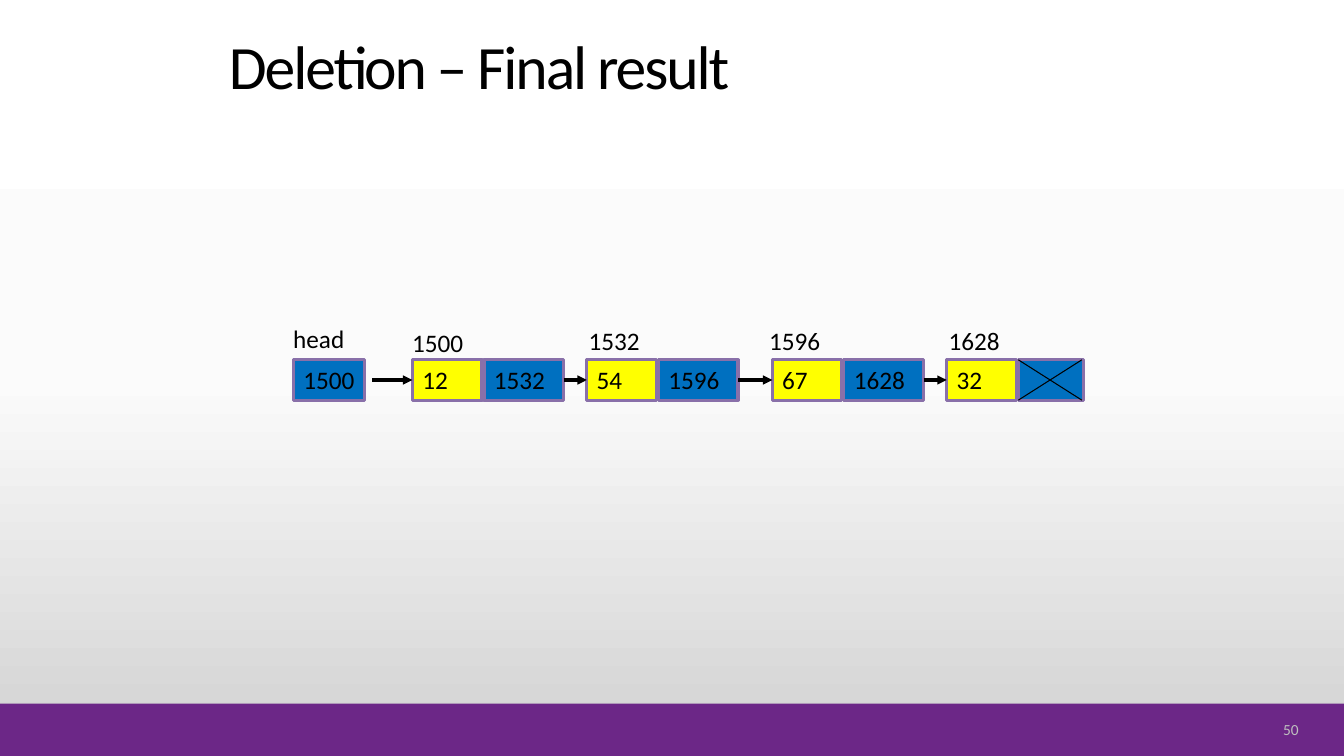
from copy import deepcopy

from pptx import Presentation
from pptx.dml.color import RGBColor
from pptx.enum.shapes import MSO_CONNECTOR as Connector, MSO_SHAPE as Preset
from pptx.enum.text import MSO_ANCHOR as Anchor, PP_ALIGN as Align
from pptx.oxml.ns import qn
from pptx.oxml.xmlchemy import OxmlElement
from pptx.util import Inches, Pt

WIDTH, HEIGHT = 13.33, 7.5
FONT = "Calibri"
BLACK = RGBColor(0x00, 0x00, 0x00)
PURPLE = RGBColor(0x6C, 0x27, 0x87)
OUTLINE = RGBColor(0x89, 0x70, 0xA9)
BLUE = RGBColor(0x00, 0x70, 0xC0)
YELLOW = RGBColor(0xFF, 0xFF, 0x00)
PAGE_GREY = RGBColor(0xBF, 0xBF, 0xBF)
BACKGROUND = [RGBColor(0xFF, 0xFF, 0xFF), RGBColor(0xFB, 0xFB, 0xFB), RGBColor(0xD1, 0xD1, 0xD1)]

# Linked list measures, in inches from the list's box
CELL_TOP, CELL_HEIGHT = 0.41, 0.4
HEAD_WIDTH, DATA_WIDTH, POINTER_OFFSET = 0.71, 0.69, 0.71
# left, value, pointer, pointer width, address, address left, address top
NODES = [
    (1.18, "12", "1532", 0.79, "1500", 1.08, 0.04),
    (2.91, "54", "1596", 0.79, "1532", 2.83, 0.02),
    (4.75, "67", "1628", 0.79, "1596", 4.62, 0.02),
    (6.48, "32", None, 0.65, "1628", 6.40, 0.02),
]


def write(shape, text, size=18, color=BLACK, align=Align.LEFT, anchor=Anchor.TOP):
    frame = shape.text_frame
    frame.word_wrap = True
    frame.vertical_anchor = anchor
    paragraph = frame.paragraphs[0]
    paragraph.alignment = align
    run = paragraph.add_run()
    run.text = text
    run.font.name, run.font.size = FONT, Pt(size)
    run.font.color.rgb = color
    return paragraph, run


def add_label(slide, left, top, text):
    label = slide.shapes.add_textbox(Inches(left), Inches(top), Inches(0.72), Inches(0.4))
    label.text_frame.margin_right = 0
    write(label, text)


def add_cell(slide, left, top, width, fill, text=None):
    cell = slide.shapes.add_shape(
        Preset.RECTANGLE, Inches(left), Inches(top), Inches(width), Inches(CELL_HEIGHT))
    cell.shadow.inherit = False
    cell.fill.solid()
    cell.fill.fore_color.rgb = fill
    cell.line.color.rgb = OUTLINE
    cell.line.width = Pt(2.25)
    if text:
        cell.text_frame.margin_right = 0
        write(cell, text)
    return cell


def add_line(slide, start, end, width, arrow=False):
    line = slide.shapes.add_connector(Connector.STRAIGHT, *map(Inches, start + end))
    line.line.color.rgb = BLACK
    line.line.width = Pt(width)
    properties = line._element.spPr
    if arrow:
        tail = OxmlElement("a:tailEnd")
        tail.set("type", "triangle")
        properties.find(qn("a:ln")).append(tail)
    properties.append(OxmlElement("a:effectLst"))
    return line


def paint_background(slide):
    fill = slide.background.fill
    fill.gradient()
    fill.gradient_angle = 270
    stop_list = slide._element.find(".//" + qn("a:gsLst"))
    stop_list.insert(1, deepcopy(stop_list[0]))
    for stop, position, color in zip(fill.gradient_stops, (0, 0.5, 1), BACKGROUND):
        stop.position = position
        stop.color.rgb = color


def add_title(slide, left, top, width, height):
    title = slide.shapes.title
    title.left, title.top = Inches(left), Inches(top)
    title.width, title.height = Inches(width), Inches(height)
    paragraph, run = write(title, "Deletion – Final result", 44, anchor=Anchor.BOTTOM)
    paragraph.line_spacing = 0.9
    run.font._element.set("spc", "-150")


def add_footer(slide, left, top, width, height):
    bar = slide.shapes.add_shape(
        Preset.RECTANGLE, Inches(left), Inches(top), Inches(width), Inches(height))
    bar.shadow.inherit = False
    bar.fill.solid()
    bar.fill.fore_color.rgb = PURPLE
    bar.line.fill.background()
    number = slide.shapes.add_textbox(
        Inches(left + width - 1.1), Inches(top + 0.14), Inches(0.75), Inches(0.23))
    write(number, "50", 11, PAGE_GREY, Align.RIGHT, Anchor.MIDDLE)


def add_linked_list(slide, left, top):
    cell_top = top + CELL_TOP
    cell_bottom = cell_top + CELL_HEIGHT
    middle = cell_top + CELL_HEIGHT / 2

    # Head pointer
    add_label(slide, left - 0.1, top, "head")
    add_cell(slide, left, cell_top, HEAD_WIDTH, BLUE, "1500")
    previous, arrow_start = None, left + 0.78

    # Nodes, each joined to the one before
    for offset, value, pointer, width, address, label_left, label_top in NODES:
        node_left = left + offset
        pointer_left = node_left + POINTER_OFFSET
        add_label(slide, left + label_left, top + label_top, address)
        data_cell = add_cell(slide, node_left, cell_top, DATA_WIDTH, YELLOW, value)
        pointer_cell = add_cell(slide, pointer_left, cell_top, width, BLUE, pointer)
        arrow = add_line(slide, (arrow_start, middle), (node_left, middle), 2.25, arrow=True)
        if previous:
            arrow.begin_connect(previous, 3)
        arrow.end_connect(data_cell, 1)
        previous, arrow_start = pointer_cell, pointer_left + width

    # Cross marking the null pointer
    cross_right = pointer_left + 0.63
    add_line(slide, (pointer_left, cell_top), (cross_right, cell_bottom), 0.75)
    add_line(slide, (cross_right, cell_top), (pointer_left, cell_bottom), 0.75)


def main():
    presentation = Presentation()
    presentation.slide_width, presentation.slide_height = Inches(WIDTH), Inches(HEIGHT)
    slide = presentation.slides.add_slide(presentation.slide_layouts[5])
    paint_background(slide)
    add_footer(slide, 0, 6.98, WIDTH, HEIGHT - 6.98)
    add_title(slide, 2.17, 0.13, 8.25, 0.94)
    add_linked_list(slide, 2.91, 3.16)
    presentation.save("out.pptx")


if __name__ == "__main__":
    main()
